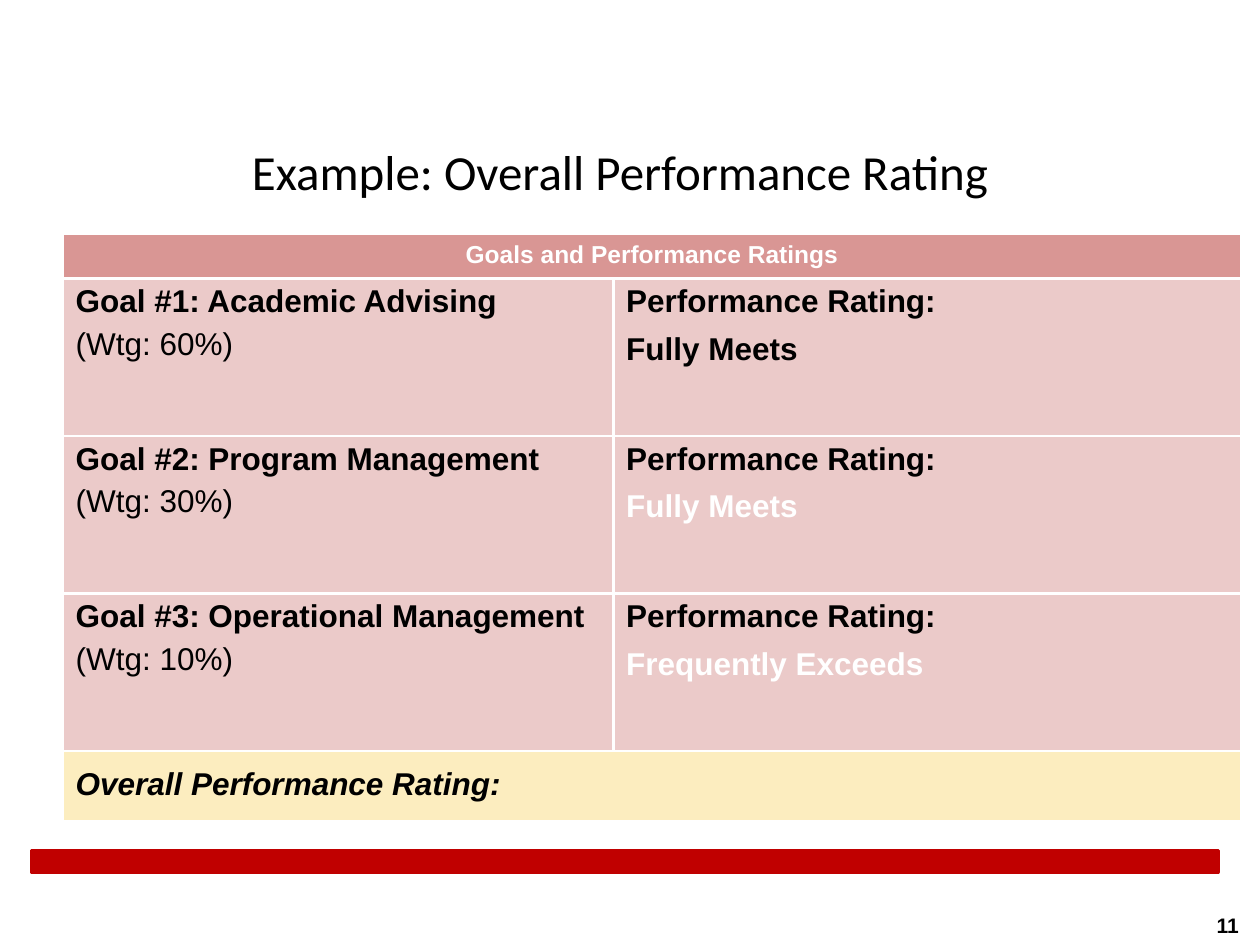
from lxml.etree import SubElement
from pptx import Presentation
from pptx.dml.color import RGBColor
from pptx.enum.shapes import MSO_SHAPE
from pptx.enum.text import MSO_ANCHOR, PP_ALIGN
from pptx.oxml.ns import qn
from pptx.util import Inches, Pt

COLORS = {"black": "000000", "white": "FFFFFF", "red": "C00000",
          "rose": "D99694", "gold": "FADD80"}
COLUMNS, ROWS = 100, 75


def rgb(name):
    """Return the named colour."""
    return RGBColor.from_string(COLORS[name])


class RatingSlide:
    """Hold the style and the current slide, placing elements on a grid."""

    def __init__(self, prs):
        """Add a title-only slide and work out its grid unit."""
        self.s = prs.slides.add_slide(prs.slide_layouts[5])
        self.col, self.row = prs.slide_width / COLUMNS, prs.slide_height / ROWS

    def box(self, x, y, w, h):
        """Turn grid columns and rows into slide lengths."""
        return [round(n * unit) for n, unit in
                zip((x, y, w, h), (self.col, self.row) * 2)]

    def text(self, tf, lines, anchor, align=PP_ALIGN.LEFT, **spacing):
        """Fill a text frame with one paragraph for each line and its format."""
        tf.word_wrap = True
        tf.vertical_anchor = anchor
        for i, (content, font) in enumerate(lines):
            p = tf.add_paragraph() if i else tf.paragraphs[0]
            for name, value in {"alignment": align, **spacing}.items():
                setattr(p, name, value)
            r = p.add_run()
            r.text = content
            look = {"name": "Arial", "size": 18, "bold": True, "color": "black", **font}
            r.font.color.rgb = rgb(look.pop("color"))
            look["size"] = Pt(look["size"])
            for name, value in look.items():
                setattr(r.font, name, value)

    def title(self, content, *place):
        """Move and format the title placeholder."""
        sp = self.s.shapes.title
        sp.left, sp.top, sp.width, sp.height = self.box(*place)
        font = {"name": "Calibri", "size": 28, "bold": False}
        self.text(sp.text_frame, [(content, font)], MSO_ANCHOR.MIDDLE, PP_ALIGN.CENTER)

    def bar(self, color, *place):
        """Draw a solid bar."""
        sp = self.s.shapes.add_shape(MSO_SHAPE.RECTANGLE, *self.box(*place))
        sp.shadow.inherit = False
        sp.fill.solid()
        sp.fill.fore_color.rgb = sp.line.color.rgb = rgb(color)
        sp.line.width = Pt(2)

    def number(self, content, *place):
        """Place the slide number."""
        sp = self.s.shapes.add_textbox(*self.box(*place))
        self.text(sp.text_frame, [(content, {"size": 12})], MSO_ANCHOR.BOTTOM,
                  PP_ALIGN.RIGHT)

    def table(self, x, y, widths, heights):
        """Add a table with the given column widths and row heights."""
        place = self.box(x, y, sum(widths), sum(heights))
        table = self.s.shapes.add_table(len(heights), len(widths), *place).table
        for column, width in zip(table.columns, widths):
            column.width = round(width * self.col)
        for row, height in zip(table.rows, heights):
            row.height = round(height * self.row)
        for cell in table.iter_cells():
            self.borders(cell)
        return table

    def borders(self, cell):
        """Give a cell white borders on all sides."""
        for side in ("a:lnL", "a:lnR", "a:lnT", "a:lnB"):
            line = SubElement(cell._tc.get_or_add_tcPr(), qn(side), w=str(Pt(1.5)))
            fill = SubElement(line, qn("a:solidFill"))
            SubElement(fill, qn("a:srgbClr"), val=COLORS["white"])

    def cell(self, cell, lines, color, opacity=50, before=0.35,
             anchor=MSO_ANCHOR.TOP, align=PP_ALIGN.LEFT):
        """Fill a table cell with colour and text."""
        cell.margin_top = cell.margin_bottom = Inches(0.07)
        cell.margin_left = cell.margin_right = Inches(0.1)
        cell.fill.solid()
        cell.fill.fore_color.rgb = rgb(color)
        if opacity < 100:
            tint = cell._tc.tcPr.find(qn("a:solidFill")).find(qn("a:srgbClr"))
            SubElement(tint, qn("a:alpha"), val=str(opacity * 1000))
        self.text(cell.text_frame, lines, anchor, align,
                  line_spacing=0.9, space_before=Pt(18 * before))
        cell.vertical_anchor = anchor


def main():
    """Build the performance rating slide."""
    prs = Presentation()
    prs.slide_width, prs.slide_height = Inches(10), Inches(7.5)
    slide = RatingSlide(prs)
    slide.bar("red", 2.5, 67.5, 94.2, 1.7)
    slide.number("11", 78.5, 71.6, 20.8, 3.3)
    slide.title("Example: Overall Performance Rating", 4.2, 8.3, 90, 10.5)

    goals = [("Goal #1: Academic Advising", 60, "Fully Meets", "black"),
             ("Goal #2: Program Management", 30, "Fully Meets", "white"),
             ("Goal #3: Operational Management", 10, "Frequently Exceeds", "white")]
    table = slide.table(5, 18.6, [43.7, 49.8], [3.5] + [12.5] * len(goals) + [5.6])
    last = len(goals) + 1
    for row in (0, last):
        table.cell(row, 0).merge(table.cell(row, 1))
    slide.cell(table.cell(0, 0),
               [("Goals and Performance Ratings", {"size": 14, "color": "white"})],
               "rose", 100, anchor=MSO_ANCHOR.MIDDLE, align=PP_ALIGN.CENTER)
    for row, (goal, weight, rating, color) in enumerate(goals, 1):
        slide.cell(table.cell(row, 0),
                   [(goal, {}), (f"(Wtg: {weight}%)", {"bold": False})], "rose")
        slide.cell(table.cell(row, 1),
                   [("Performance Rating:", {}), (rating, {"color": color})],
                   "rose", before=0.5)
    slide.cell(table.cell(last, 0), [("Overall Performance Rating:", {"italic": True})],
               "gold", anchor=MSO_ANCHOR.MIDDLE)
    prs.save("out.pptx")


if __name__ == "__main__":
    main()
